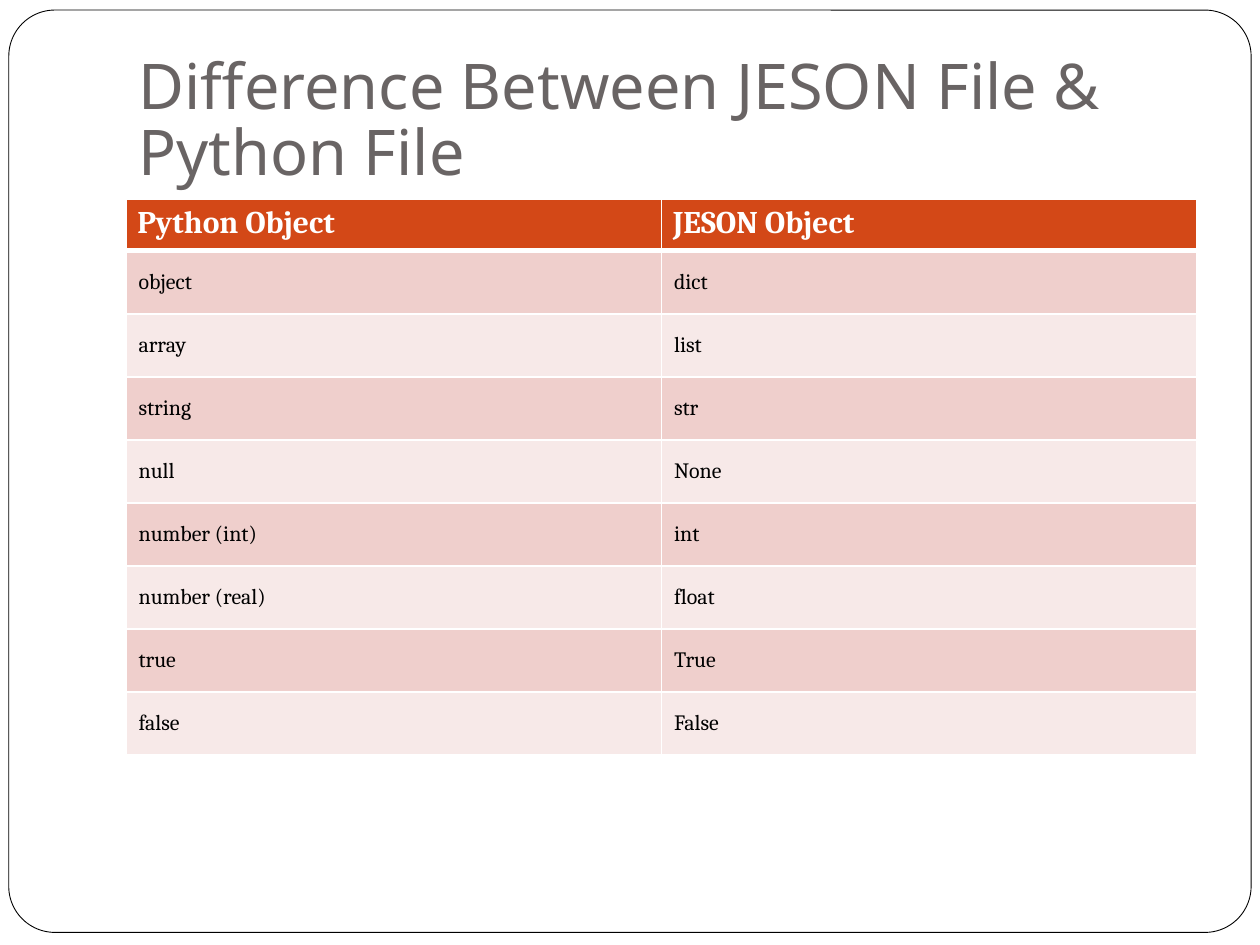
from dataclasses import dataclass

from lxml import etree
from pptx import Presentation
from pptx import util as u
from pptx.dml.color import RGBColor
from pptx.enum import shapes, text
from pptx.oxml import ns

WHITE = RGBColor(0xFF, 0xFF, 0xFF)
BLACK = RGBColor(0x00, 0x00, 0x00)
GREY = RGBColor(0x69, 0x64, 0x64)
ORANGE = RGBColor(0xD3, 0x48, 0x17)
ROSE = RGBColor(0xEF, 0xCF, 0xCC)
PALE_ROSE = RGBColor(0xF7, 0xE9, 0xE8)


@dataclass(frozen=True)
class RowStyle:
    fill: RGBColor
    color: RGBColor
    size: float
    bold: bool
    anchor: text.MSO_ANCHOR
    margin_x: float
    margin_y: float
    rule_below: float


HEADER = RowStyle(ORANGE, WHITE, 18, True, text.MSO_ANCHOR.TOP, 0.09, 0.05, 3)
BODY = [RowStyle(fill, BLACK, 12.5, False, text.MSO_ANCHOR.MIDDLE, 0.1, 0.15, 1)
        for fill in (ROSE, PALE_ROSE)]

TYPE_PAIRS = [
    ("Python Object", "JESON Object"),
    ("object", "dict"),
    ("array", "list"),
    ("string", "str"),
    ("null", "None"),
    ("number (int)", "int"),
    ("number (real)", "float"),
    ("true", "True"),
    ("false", "False"),
]


def add_border(cell, side: str, points: float) -> None:
    """Append a white border line; must run before the cell is filled."""
    line = etree.SubElement(cell._tc.get_or_add_tcPr(), ns.qn(f"a:{side}"),
                            w=str(u.Pt(points)))
    fill = etree.SubElement(line, ns.qn("a:solidFill"))
    etree.SubElement(fill, ns.qn("a:srgbClr"), val=str(WHITE))


def fill_cell(cell, wording: str, style: RowStyle, rule_above: float) -> None:
    for side, points in (("lnL", 1), ("lnR", 1), ("lnT", rule_above),
                         ("lnB", style.rule_below)):
        add_border(cell, side, points)
    cell.fill.solid()
    cell.fill.fore_color.rgb = style.fill
    cell.vertical_anchor = style.anchor
    cell.margin_left = cell.margin_right = u.Inches(style.margin_x)
    cell.margin_top = cell.margin_bottom = u.Inches(style.margin_y)
    cell.text_frame.text = wording
    font = cell.text_frame.paragraphs[0].runs[0].font
    font.name, font.size, font.bold = "Cambria", u.Pt(style.size), style.bold
    font.color.rgb = style.color


presentation = Presentation()
presentation.slide_width, presentation.slide_height = u.Inches(10), u.Inches(7.5)
slide = presentation.slides.add_slide(presentation.slide_layouts[5])

# Title
title = slide.shapes.title
title.left, title.top = u.Inches(1), u.Inches(0.3)
title.width, title.height = u.Inches(8.5), u.Inches(1.25)
heading = title.text_frame
heading.text = "Difference Between JESON File & Python File"
heading.word_wrap = True
heading.auto_size = text.MSO_AUTO_SIZE.NONE
heading.vertical_anchor = text.MSO_ANCHOR.BOTTOM
heading.margin_left = heading.margin_right = u.Inches(0.1)
heading.margin_top, heading.margin_bottom = 0, u.Inches(0.05)
heading_line = heading.paragraphs[0]
heading_line.alignment = text.PP_ALIGN.LEFT
heading_line.line_spacing = 0.88
heading_font = heading_line.runs[0].font
heading_font.name, heading_font.size = "Noto Sans", u.Pt(36)
heading_font.color.rgb = GREY

# Rounded page frame, behind the title
frame = slide.shapes.add_shape(
    shapes.MSO_SHAPE.ROUNDED_RECTANGLE,
    u.Inches(0.07), u.Inches(0.08), u.Inches(9.86), u.Inches(7.32))
frame.adjustments[0] = 0.05
frame.shadow.inherit = False
frame.fill.solid()
frame.fill.fore_color.rgb = WHITE
frame.line.color.rgb = BLACK
frame.line.width = u.Pt(0.5)
title.element.addprevious(frame.element)

# Type comparison table
comparison = slide.shapes.add_table(
    len(TYPE_PAIRS), 2, u.Inches(1), u.Inches(1.58),
    u.Inches(8.5), u.Inches(4.33)).table
rule_above = 1
for index, pair in enumerate(TYPE_PAIRS):
    style = BODY[(index - 1) % 2] if index else HEADER
    comparison.rows[index].height = u.Inches(0.49 if index else 0.41)
    for column, wording in enumerate(pair):
        fill_cell(comparison.cell(index, column), wording, style, rule_above)
    rule_above = style.rule_below

presentation.save("out.pptx")
